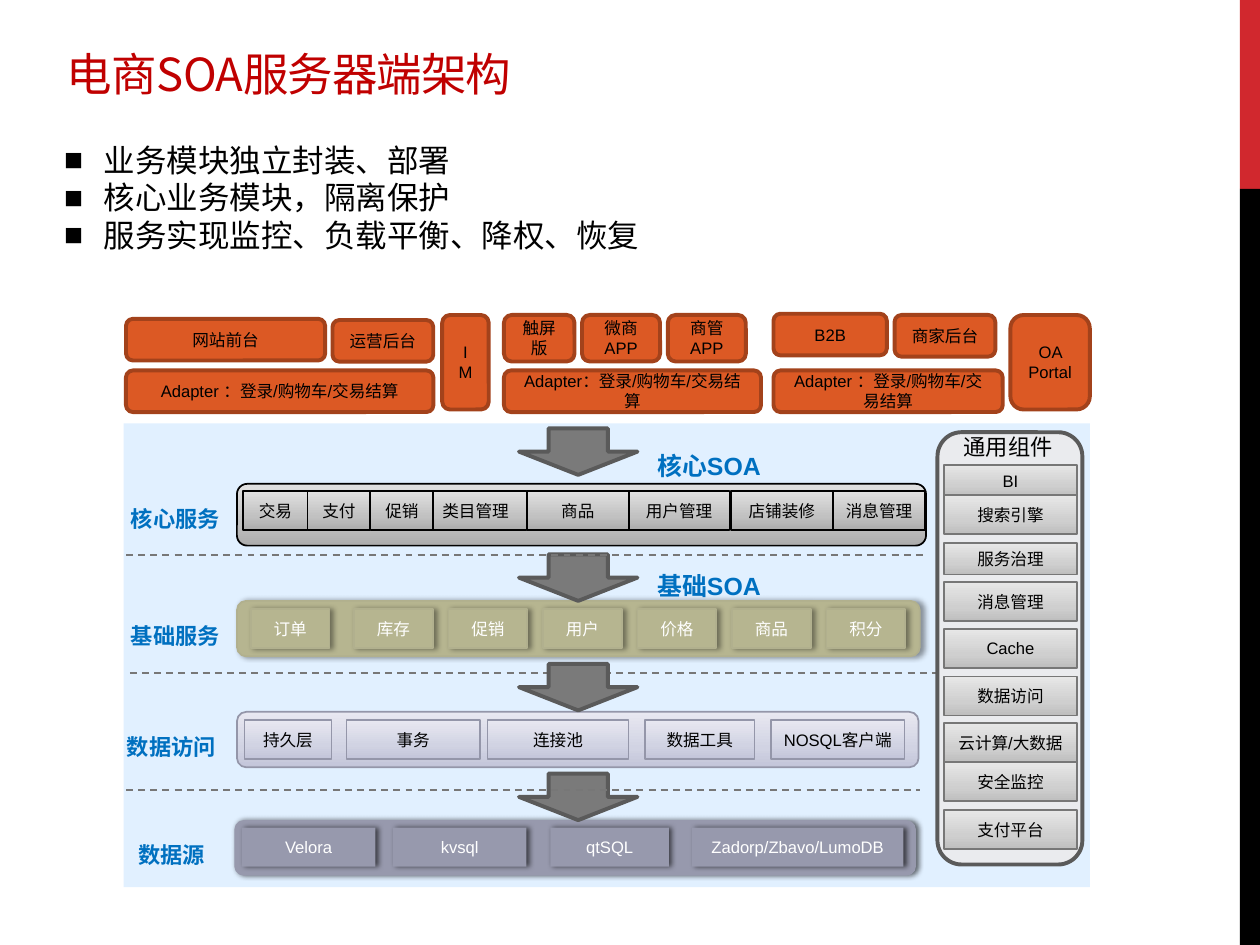
import copy

import lxml.etree
import pptx
import pptx.dml.color
import pptx.enum.dml
import pptx.enum.shapes
import pptx.enum.text
import pptx.oxml.ns
import pptx.util

Pt = pptx.util.Pt
KIND = pptx.enum.shapes.MSO_SHAPE
ALIGN = pptx.enum.text.PP_ALIGN
ANCHOR = pptx.enum.text.MSO_ANCHOR
FIT = pptx.enum.text.MSO_AUTO_SIZE
qn = pptx.oxml.ns.qn

HEX = {
    "red": "D1282E", "black": "000000", "white": "FFFFFF", "title": "C00000",
    "sky": "E1F0FF", "blue": "0070C0", "dash": "777777", "edge": "5A5A5A",
    "arrow": "7A7A7A", "pale": "EAEBEE", "orange": "DC5924", "rust": "A3421B",
    "olive": "B6B590", "moss": "B1B08E", "slate": "9799AD", "steel": "9496A9",
}
# fill (one name, or three gradient hex strings), line, line width, text, shadow
STYLE = {
    "app": ("orange", "rust", 2.25, "black", None),
    "core": (("ABABAB", "C1C1C1", "E1E1E1"), "black", 1, "black", None),
    "base": ("olive", "moss", 1, "white", (40, 3.1, 1.8)),
    "data": (("C3C5D9", "D1D3E3", "E8E8F1"), "steel", 1, "black", None),
    "store": ("slate", None, 0, "white", (60, 3, 1.5)),
    "part": (("BEBEBE", "CFCFCF", "E7E7E7"), "dash", 1, "black", None),
    "frame": ("pale", "edge", 2.25, "black", None),
    "arrow": ("arrow", "edge", 2.25, "black", None),
    "sky": ("sky", None, 0, "black", None),
    "red": ("red", None, 0, "black", None),
    "black": ("black", None, 0, "black", None),
}

TITLE = "电商SOA服务器端架构"
POINTS = ["业务模块独立封装、部署", "核心业务模块，隔离保护",
          "服务实现监控、负载平衡、降权、恢复"]
# text, left, top, width, height
APPS = [
    ("网站前台", 72, 182.2, 113.8, 23.8),
    ("运营后台", 190, 182.9, 57.6, 23.8),
    ("Adapter ：登录/购物车/交易结算", 72, 211.7, 175.7, 23.8),
    ("IM", 252.7, 180, 26.6, 54),
    ("触屏版", 288, 180, 40.3, 26.6),
    ("微商APP", 332.6, 180, 44.6, 26.6),
    ("商管APP", 381.6, 180, 44.6, 26.6),
    ("Adapter：登录/购物车/交易结算", 288, 211.7, 146.9, 23.8),
    ("B2B", 442, 179.3, 64.8, 23.8),
    ("商家后台", 511.2, 180, 57.6, 23.8),
    ("Adapter ：登录/购物车/交易结算", 442, 211.7, 131, 23.8),
    ("OA Portal", 577.4, 180, 45.4, 54),
]
BASE = ["库存", "促销", "用户", "价格", "商品", "积分"]
# style, panel box, top of cells, cells as (text, left, width)
TIERS = [
    ("core", (135.4, 276.5, 393.8, 35.3), 280.6, [
        ("交易", 139, 36.7), ("支付", 175.7, 36), ("类目管理", 242.6, 58.4),
        ("促销", 211.7, 36), ("商品", 301, 58.3), ("用户管理", 359.3, 57.6),
        ("店铺装修", 417.6, 58.3), ("消息管理", 475.9, 52.8)]),
    ("base", (135.4, 343.4, 390.2, 31.7), 348.2,
     [("订单", 143.3, 45)]
     + [(name, 202.3 + 54 * i, 45) for i, name in enumerate(BASE)]),
    ("data", (135.4, 406.8, 389.5, 31.7), 411.5, [
        ("持久层", 139.7, 49.7), ("事务", 198, 76.3), ("连接池", 278.6, 80.6),
        ("数据工具", 368.6, 62.6), ("NOSQL客户端", 440.6, 76.3)]),
    ("store", (133.9, 468.7, 389.5, 31.7), 473, [
        ("Velora", 138.2, 76.3), ("kvsql", 224.6, 76.3), ("qtSQL", 314.6, 67.7),
        ("Zadorp/Zbavo/LumoDB", 395.3, 121)]),
]
PARTS = [
    ("BI", 265.7, 18), ("搜索引擎", 283, 22.3), ("服务治理", 310.3, 18),
    ("消息管理", 332.6, 22.3), ("Cache", 359.3, 22.3), ("数据访问", 386.6, 22.3),
    ("云计算/大数据", 413.3, 22.3), ("安全监控", 435.6, 22.3),
    ("支付平台", 463, 22.3),
]
# text, left, top, width, size, colour, bold
LABELS = [
    ("核心服务", 67.7, 285.1, 75.6, 12.7, "blue", True),
    ("基础服务", 67.7, 352.1, 69.8, 12.7, "blue", True),
    ("数据访问", 65.5, 415.4, 69.8, 12.7, "blue", True),
    ("数据源", 72, 477.4, 54, 12.7, "blue", True),
    ("核心SOA", 368.6, 254.2, 79, 14.2, "blue", True),
    ("基础SOA", 368.6, 322.6, 79, 14.2, "blue", True),
    ("通用组件", 543.6, 244.1, 69.8, 12.7, "black", False),
]
ARROWS = [244.8, 316.8, 379.4, 442.1]


def tint(name):
    return pptx.dml.color.RGBColor.from_string(HEX.get(name, name))


def write(para, text, size, color, bold=False, face="Arial"):
    run = para.add_run()
    run.text = text
    font = run.font
    font.name, font.size, font.bold = face, Pt(size), bold
    font.color.rgb = tint(color)
    return run


def blend(shape, hues):
    """Fill upwards with three hues, the middle one at 35%."""
    shape.fill.gradient()
    shape.fill.gradient_angle = 90
    for stop, hue in zip(shape.fill.gradient_stops, hues[::2]):
        stop.color.rgb = tint(hue)
    stops = shape._element.spPr.find(".//" + qn("a:gsLst"))
    stops[0].set("pos", "0")
    stops[1].set("pos", "100000")
    mid = copy.deepcopy(stops[0])
    mid.set("pos", "35000")
    mid[0].set("val", hues[1])
    stops.insert(1, mid)


def shade(shape, alpha, blur, dist):
    """Cast a shadow to the right."""
    glow = lxml.etree.SubElement(
        shape._element.spPr.find(qn("a:effectLst")), qn("a:outerShdw"),
        blurRad=str(Pt(blur)), dist=str(Pt(dist)), dir="0", rotWithShape="0")
    hue = lxml.etree.SubElement(glow, qn("a:srgbClr"), val=HEX["black"])
    lxml.etree.SubElement(hue, qn("a:alpha"), val=str(alpha * 1000))


def block(slide, style, box, text="", kind=KIND.RECTANGLE):
    fill, line, width, color, shadow = STYLE[style]
    shape = slide.shapes.add_shape(kind, *map(Pt, box))
    if isinstance(fill, tuple):
        blend(shape, fill)
    else:
        shape.fill.solid()
        shape.fill.fore_color.rgb = tint(fill)
    if line:
        shape.line.color.rgb = tint(line)
        shape.line.width = Pt(width)
    else:
        shape.line.fill.background()
    shape.shadow.inherit = False
    if shadow:
        shade(shape, *shadow)
    if text:
        frame = shape.text_frame
        frame.word_wrap = True
        frame.vertical_anchor = ANCHOR.MIDDLE
        frame.paragraphs[0].alignment = ALIGN.CENTER
        write(frame.paragraphs[0], text, 9.5, color)


def rule(slide, left, right, top):
    line = slide.shapes.add_connector(
        pptx.enum.shapes.MSO_CONNECTOR.STRAIGHT, *map(Pt, (left, top, right, top)))
    line.line.color.rgb = tint("dash")
    line.line.width = Pt(1)
    line.line.dash_style = pptx.enum.dml.MSO_LINE.DASH
    lxml.etree.SubElement(line._element.spPr, qn("a:effectLst"))


def place(shape, *box):
    shape.left, shape.top, shape.width, shape.height = map(Pt, box)
    return shape.text_frame


def head(slide):
    frame = place(slide.shapes.title, 31, 20.9, 518.4, 40.3)
    frame.vertical_anchor = ANCHOR.BOTTOM
    frame.paragraphs[0].alignment = ALIGN.LEFT
    run = write(frame.paragraphs[0], TITLE, 26, "title", face="Noto Sans CJK SC")
    run.font._element.set("spc", "-60")

    frame = place(slide.placeholders[1], 29.5, 77, 346.3, 72.7)
    frame.word_wrap = False
    frame.auto_size = FIT.SHAPE_TO_FIT_TEXT
    for i, text in enumerate(POINTS):
        para = frame.add_paragraph() if i else frame.paragraphs[0]
        para.space_before = Pt(0)
        para.line_spacing = Pt(21.5)
        props = para._p.get_or_add_pPr()
        props.set("marL", str(Pt(22.5)))
        props.set("indent", str(Pt(-22.5)))
        lxml.etree.SubElement(props, qn("a:buFont"), typeface="Arial")
        lxml.etree.SubElement(props, qn("a:buChar"), char="■")
        write(para, text, 18, "black")


def main():
    deck = pptx.Presentation()
    deck.slide_width, deck.slide_height = Pt(720), Pt(540)
    slide = deck.slides.add_slide(deck.slide_layouts[1])
    head(slide)
    block(slide, "red", (708.5, 0, 11.5, 108))
    block(slide, "black", (708.5, 108, 11.5, 432))
    block(slide, "sky", (70.6, 242, 552.2, 265))
    for text, *box in APPS:
        block(slide, "app", box, text, KIND.ROUNDED_RECTANGLE)
    rule(slide, 74.2, 613.4, 384.5)
    for style, box, top, cells in TIERS:
        block(slide, style, box, kind=KIND.ROUNDED_RECTANGLE)
        for text, left, width in cells:
            block(slide, style, (left, top, width, 22.3), text)
    for top in ARROWS:
        block(slide, "arrow", (296.6, top, 67.7, 26.6), kind=KIND.DOWN_ARROW)
    rule(slide, 72, 528.5, 317)
    rule(slide, 72, 525.6, 451.4)
    block(slide, "frame", (535.7, 247, 82.8, 247), kind=KIND.ROUNDED_RECTANGLE)
    for text, top, height in PARTS:
        block(slide, "part", (539.3, top, 76.3, height), text)
    for text, left, top, width, size, color, bold in LABELS:
        note = slide.shapes.add_textbox(*map(Pt, (left, top, width, size + 9.8)))
        note.text_frame.word_wrap = True
        note.text_frame.auto_size = FIT.SHAPE_TO_FIT_TEXT
        write(note.text_frame.paragraphs[0], text, size, color, bold)
    deck.save("out.pptx")


if __name__ == "__main__":
    main()
